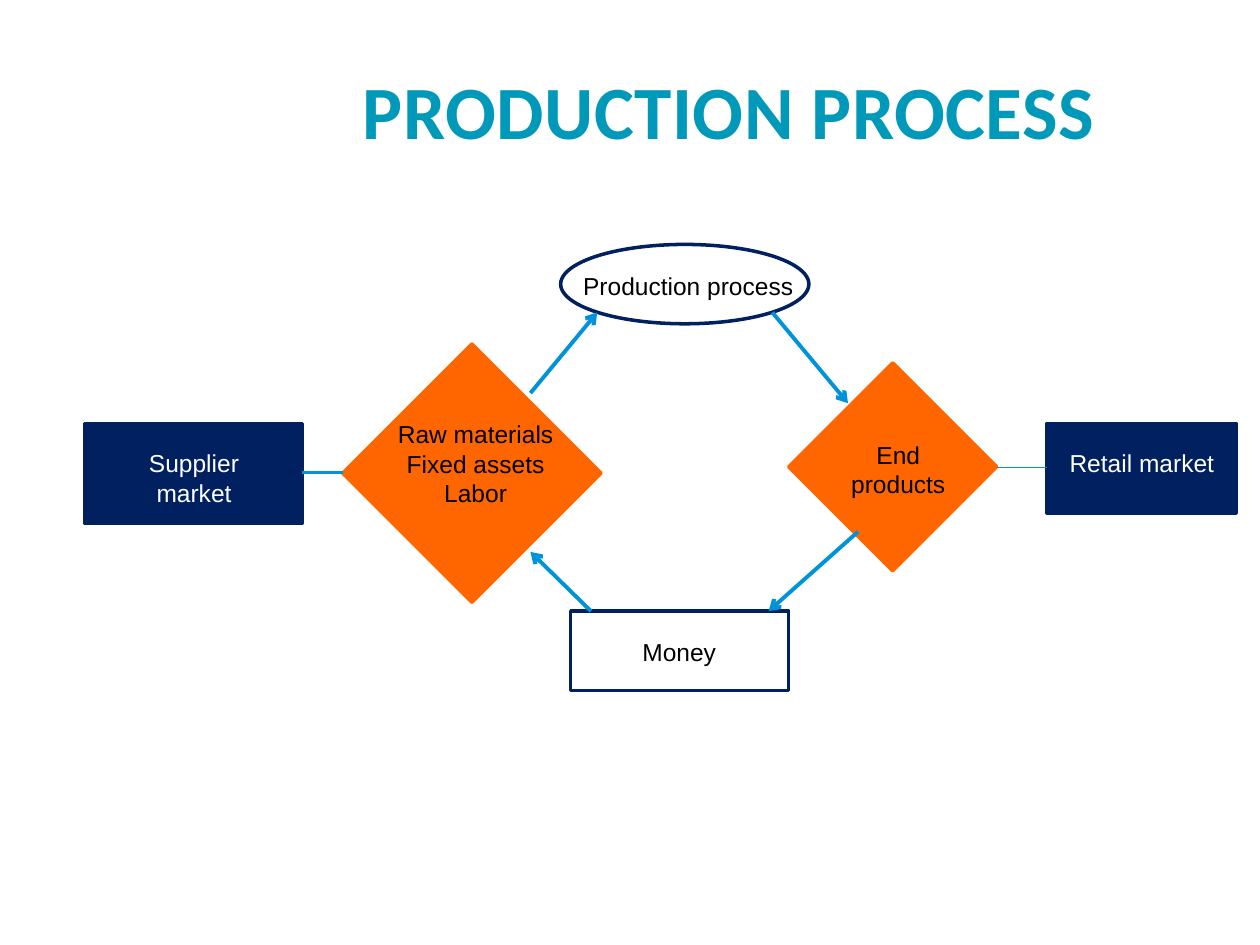
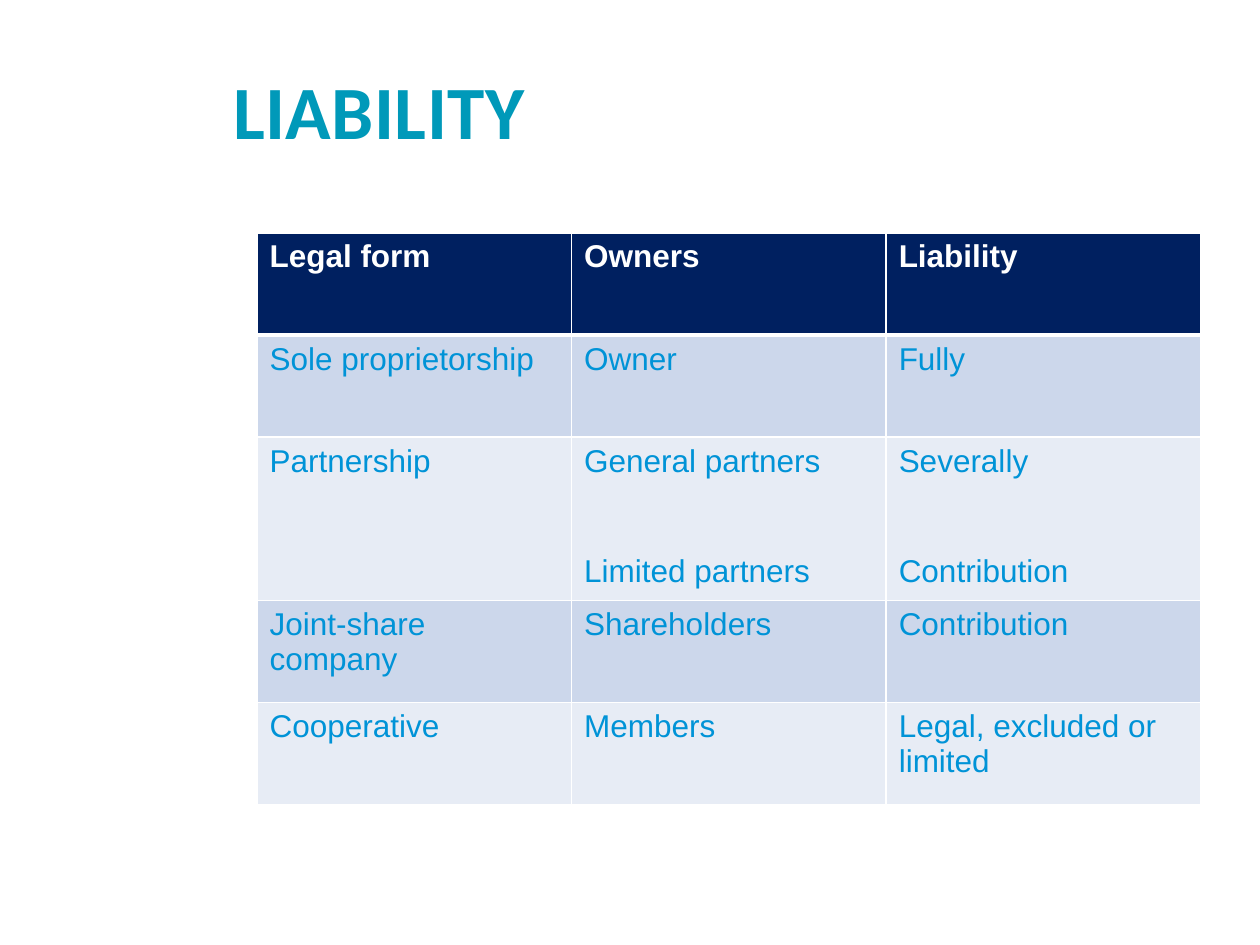
from dataclasses import dataclass

from lxml import etree
from pptx import Presentation
from pptx import util as u
from pptx.dml.color import RGBColor
from pptx.enum import shapes, text
from pptx.oxml.ns import qn


@dataclass(frozen=True)
class Theme:
    title: str = "0099B9"
    navy: str = "002060"
    orange: str = "FF6600"
    azure: str = "0093D7"
    white: str = "FFFFFF"
    black: str = "000000"
    bands: tuple = ("CCD7EB", "E7ECF5")
    title_font: str = "Calibri"
    body_font: str = "Arial"
    title_size: int = 43
    label_size: int = 14
    table_size: int = 18


theme = Theme()
rgb = RGBColor.from_string
deck = Presentation()
deck.slide_width, deck.slide_height = u.Inches(10), u.Inches(7.5)

# Both slides are measured on a grid of 100 columns by 75 rows.
COL = deck.slide_width / 100
ROW = deck.slide_height / 75


def grid(*cells):
    """Turn alternating column and row counts into slide lengths."""
    return [round(n * (ROW if i % 2 else COL)) for i, n in enumerate(cells)]


def write(paragraph, words, size, color, font=theme.body_font, bold=False):
    run = paragraph.add_run()
    run.text = words
    run.font.size, run.font.name, run.font.bold = u.Pt(size), font, bold
    run.font.color.rgb = rgb(color)
    return run


# Titles
LEFT, CENTER = text.PP_ALIGN.LEFT, text.PP_ALIGN.CENTER
pages = []
for heading, align in (("PRODUCTION PROCESS", CENTER), ("LIABILITY", LEFT)):
    page = deck.slides.add_slide(deck.slide_layouts[6])
    frame = page.shapes.add_textbox(*grid(18.5, 6.3, 78.7, 6)).text_frame
    frame.word_wrap = True
    frame.margin_left = frame.margin_right = frame.margin_top = frame.margin_bottom = 0
    line = frame.paragraphs[0]
    line.alignment, line.line_spacing = align, u.Pt(theme.title_size)
    title_run = write(line, heading, theme.title_size, theme.title, theme.title_font, True)
    title_run.font._element.set("spc", "30")
    pages.append(page)
process, liability = pages

# Production process: stations, links between them, labels
BOX = shapes.MSO_SHAPE.FLOWCHART_PROCESS
DIAMOND = shapes.MSO_SHAPE.FLOWCHART_DECISION
OVAL = shapes.MSO_SHAPE.OVAL
stations = [
    (BOX, (6.7, 33.6, 17.3, 7.9), theme.navy, theme.navy),
    (DIAMOND, (27.2, 27.3, 20.5, 20.5), theme.orange, theme.orange),
    (DIAMOND, (62.6, 28.8, 16.5, 16.5), theme.orange, theme.orange),
    (BOX, (83.1, 33.6, 15, 7.1), theme.navy, theme.navy),
    (OVAL, (44.5, 19.4, 19.7, 6.3), theme.white, theme.navy),
    (BOX, (45.3, 48.5, 17.3, 6.3), theme.white, theme.navy),
]
for kind, place, fill, outline in stations:
    station = process.shapes.add_shape(kind, *grid(*place))
    station.shadow.inherit = False
    station.fill.solid()
    station.fill.fore_color.rgb = rgb(fill)
    station.line.color.rgb = rgb(outline)
    station.line.width = u.Pt(2)

links = [
    ((24, 37.5, 27.2, 37.5), 2.25, False),
    ((79.1, 37.1, 83.1, 37.1), 0.75, False),
    ((42.1, 31.2, 47.4, 24.8), 2.25, True),
    ((61.3, 24.8, 67.3, 32), 2.25, True),
    ((68.1, 42.2, 61, 48.5), 2.25, True),
    ((46.9, 48.5, 42.1, 43.8), 2.25, True),
]
for ends, weight, arrow in links:
    link = process.shapes.add_connector(shapes.MSO_CONNECTOR.STRAIGHT, *grid(*ends))
    link.line.color.rgb = rgb(theme.azure)
    link.line.width = u.Pt(weight)
    if arrow:
        etree.SubElement(link.line._get_or_add_ln(), qn("a:tailEnd"), type="arrow")
    etree.SubElement(link._element.spPr, qn("a:effectLst"))

labels = [
    (["Supplier market"], (8.3, 35.1, 14.2, 5.7), theme.white, CENTER),
    (["Retail market"], (83.9, 35.1, 19.7, 3.4), theme.white, LEFT),
    (["Production process"], (45.3, 21, 26, 3.4), theme.black, LEFT),
    (["Money"], (50, 50.1, 18.9, 3.4), theme.black, LEFT),
    (["Raw materials", "Fixed assets", "Labor"], (29.5, 32.8, 16.5, 8.1), theme.black, CENTER),
    (["End products"], (65, 34.4, 12.6, 5.7), theme.black, CENTER),
]
for lines, place, color, align in labels:
    frame = process.shapes.add_textbox(*grid(*place)).text_frame
    frame.word_wrap = True
    for i, words in enumerate(lines):
        line = frame.add_paragraph() if i else frame.paragraphs[0]
        line.alignment = align
        write(line, words, theme.label_size, color)

# Liability by legal form; a tuple holds the paragraphs of one cell
legal_forms = [
    ("Legal form", "Owners", "Liability"),
    ("Sole proprietorship", "Owner", "Fully"),
    ("Partnership", ("General partners", "Limited partners"), ("Severally", "Contribution")),
    ("Joint-share company", "Shareholders", "Contribution"),
    ("Cooperative", "Members", "Legal, excluded or limited"),
]
row_heights = [8.1, 8.1, 12.8, 8.1, 8.1]
table = liability.shapes.add_table(
    len(legal_forms), 3, *grid(20.4, 18.5, 74.9, sum(row_heights))).table
table.horz_banding = False
for r, (entries, height) in enumerate(zip(legal_forms, row_heights)):
    table.rows[r].height = round(height * ROW)
    header = r == 0
    for c, entry in enumerate(entries):
        cell = table.cell(r, c)
        for side in "LRTB":
            heavy = (header and side == "B") or (r == 1 and side == "T")
            border = etree.SubElement(cell._tc.get_or_add_tcPr(), qn(f"a:ln{side}"),
                                      w=str(u.Pt(3 if heavy else 1)))
            paint = etree.SubElement(border, qn("a:solidFill"))
            etree.SubElement(paint, qn("a:srgbClr"), val=theme.white)
        cell.fill.solid()
        cell.fill.fore_color.rgb = rgb(theme.navy if header else theme.bands[(r - 1) % 2])
        parts = (entry,) if isinstance(entry, str) else entry
        for i, words in enumerate(parts):
            line = cell.text_frame.add_paragraph() if i else cell.text_frame.paragraphs[0]
            if i:
                line.space_before = u.Pt(43)
            write(line, words, theme.table_size,
                  theme.white if header else theme.azure, bold=header)

deck.save("out.pptx")
